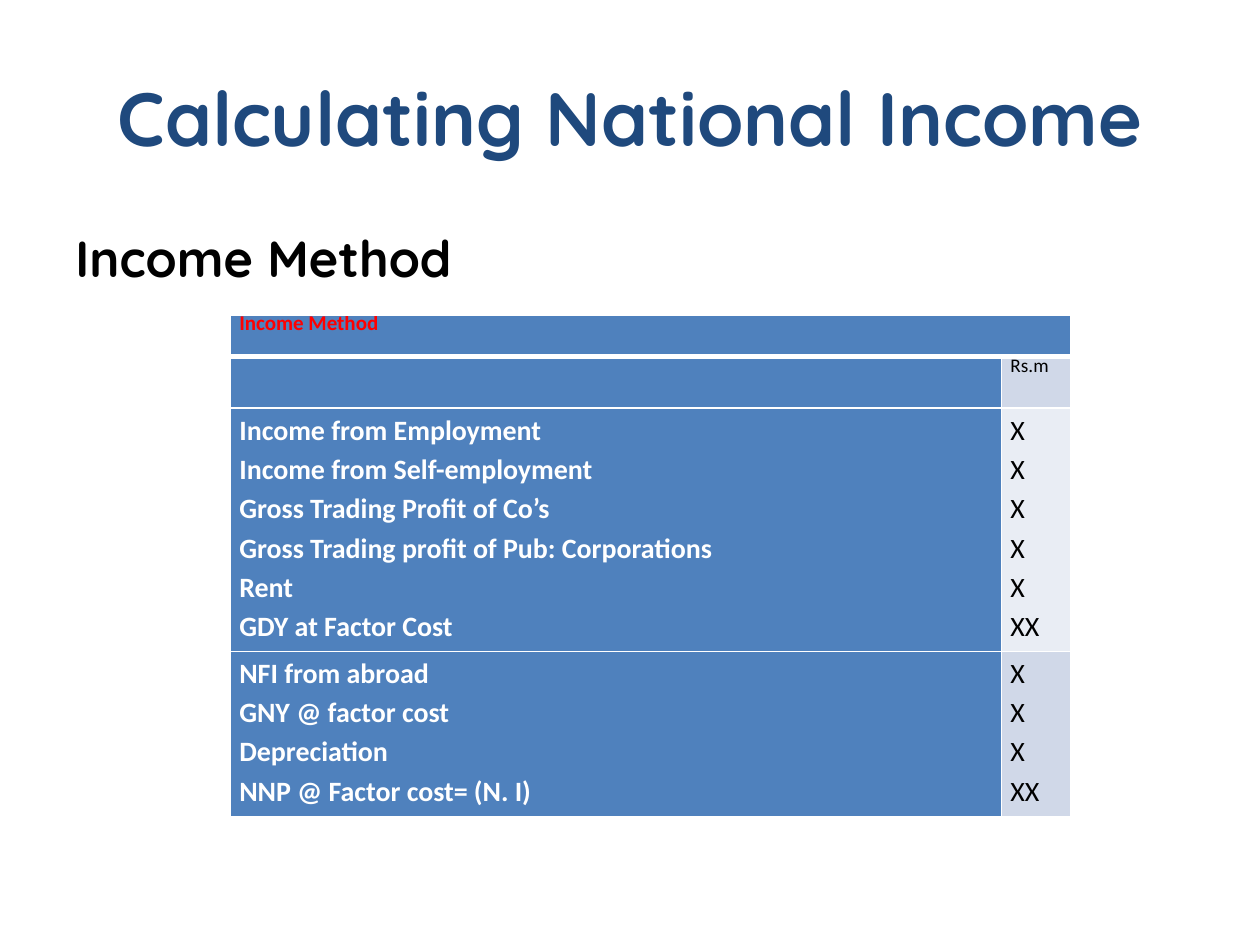
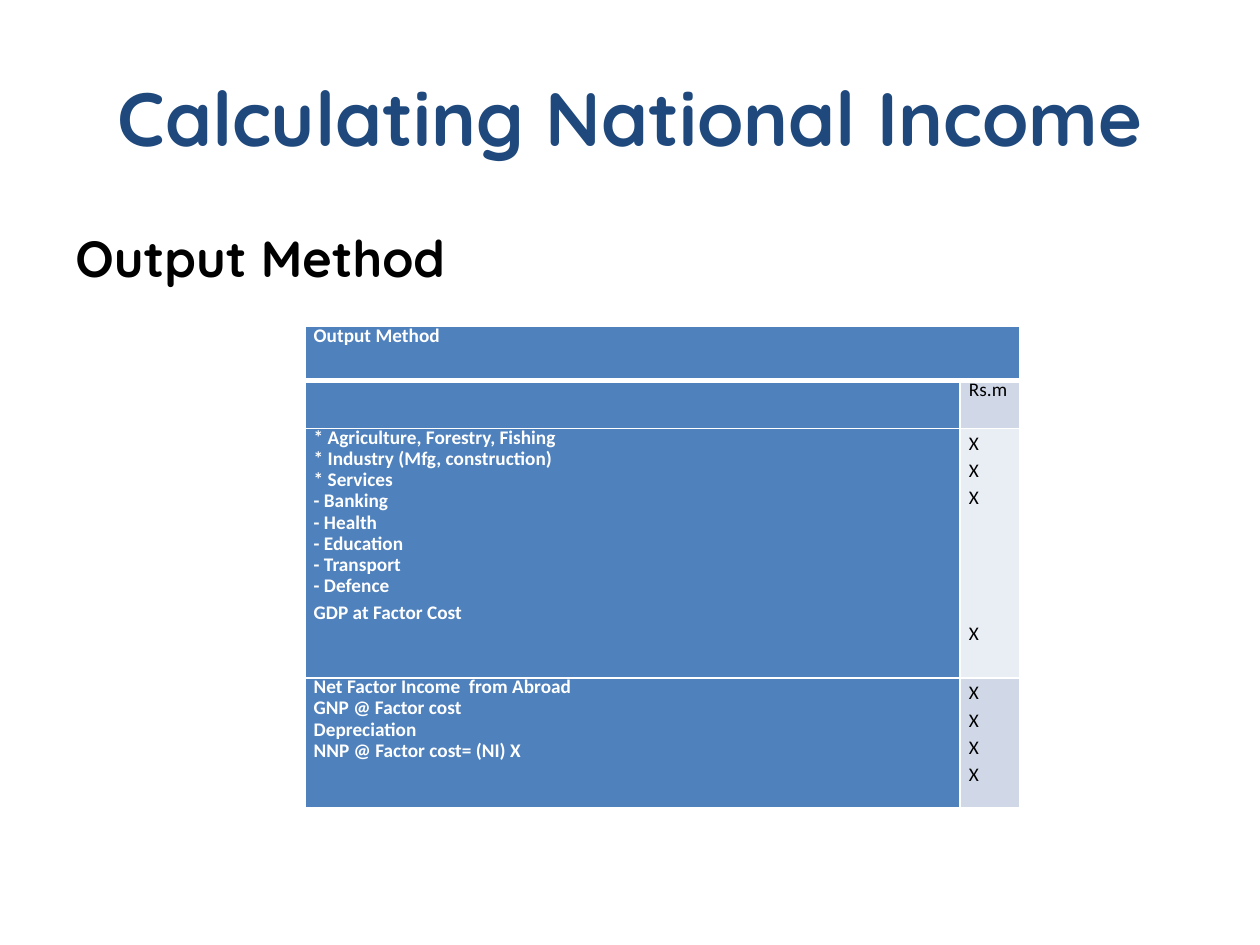
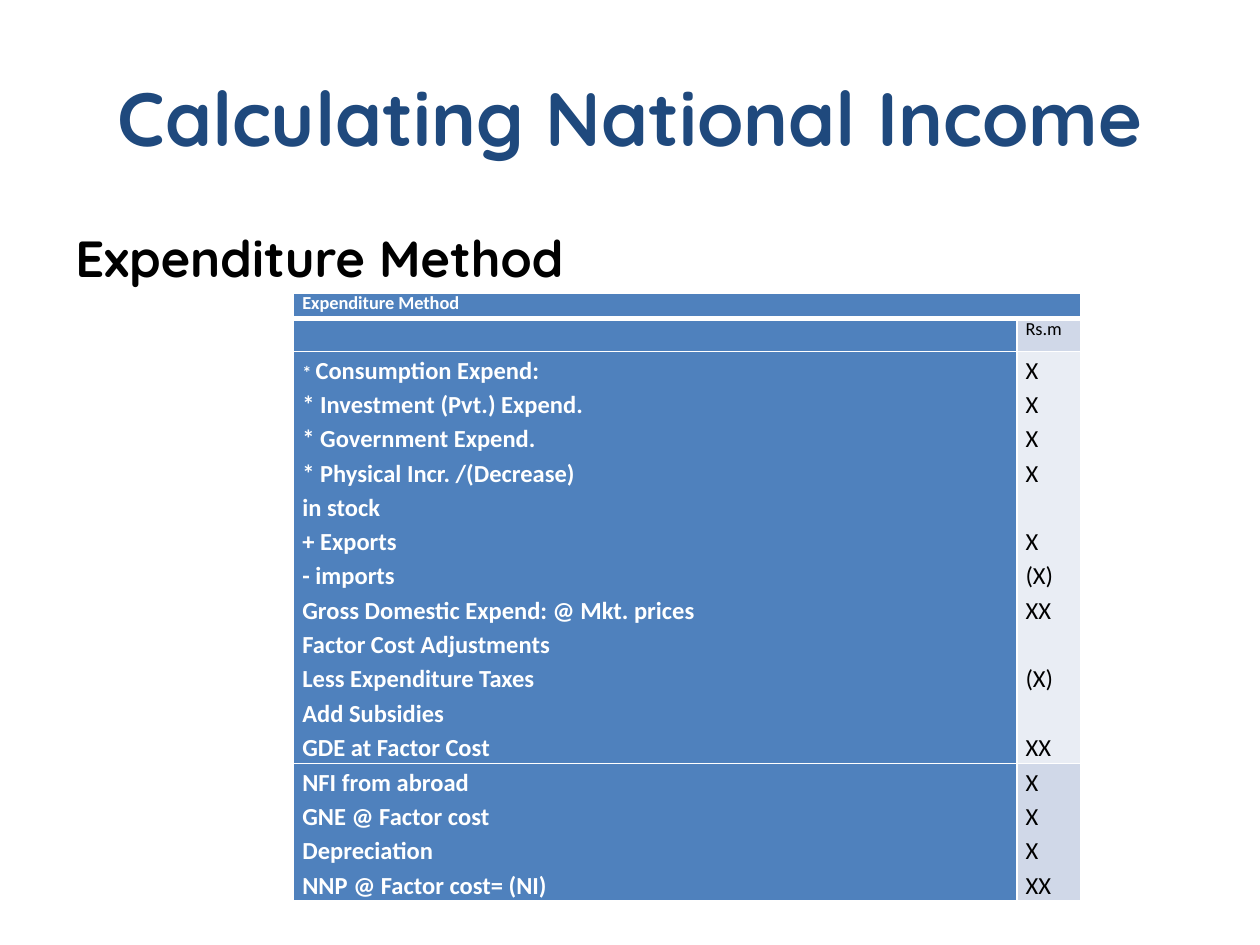
import pptx
import pptx.dml.color
import pptx.enum.text
import pptx.oxml
import pptx.oxml.ns
import pptx.util
from pptx.util import Inches

TITLE_BLUE, BLUE, PALE, PALER = "1F497D", "4F81BD", "D0D8E8", "E9EDF4"
WHITE, BLACK, RED = "FFFFFF", "000000", "FF0000"
TIGHT = pptx.util.Pt(12.1)
LOOSE = 1.15
LINE_HEIGHT = 1.22


def style(font, name, size, color, bold):
    font.name = name
    font.size = pptx.util.Pt(size)
    font.bold = bold
    font.color.rgb = pptx.dml.color.RGBColor.from_string(color)


def fill_cell(cell, lines, size, color, bold, leading, fill, bottom=1):
    cell.margin_left = cell.margin_right = Inches(0.07)
    cell.margin_top = cell.margin_bottom = 0
    for side, width in (("L", 1), ("R", 1), ("T", 1), ("B", bottom)):
        cell._tc.get_or_add_tcPr().append(pptx.oxml.parse_xml(
            f'<a:ln{side} {pptx.oxml.ns.nsdecls("a")} w="{width * 12700}">'
            f'<a:solidFill><a:srgbClr val="{WHITE}"/></a:solidFill></a:ln{side}>'))
    cell.fill.solid()
    cell.fill.fore_color.rgb = pptx.dml.color.RGBColor.from_string(fill)
    tf = cell.text_frame
    p = tf.paragraphs[0]
    style(p.font, "Calibri", size, color, bold)
    skipped = 0
    for i, line in enumerate(lines):
        if not line:
            skipped += 1
            continue
        if i:
            p = tf.add_paragraph()
        p.text = line
        p.line_spacing = leading
        if skipped:
            p.space_before = pptx.util.Pt(round(skipped * size * LINE_HEIGHT * LOOSE, 1))
        skipped = 0
        style(p.runs[0].font, "Calibri", size, color, bold)


methods = [
    {
        "name": "Income Method", "at": (1.83, 2.5),
        "cols": (6.12, 0.55), "rows": (0.33, 0.41, 1.93, 1.31),
        "head": (12, RED), "unit_size": 11, "size": 16, "leading": LOOSE,
        "body": [
            (["Income from Employment", "Income from Self-employment",
              "Gross Trading Profit of Co’s",
              "Gross Trading profit of Pub: Corporations",
              "Rent", "GDY at Factor Cost"],
             ["X", "X", "X", "X", "X", "XX"]),
            (["NFI from abroad", "GNY @ factor cost", "Depreciation",
              "NNP @ Factor cost= (N. I)"],
             ["X", "X", "X", "XX"]),
        ],
    },
    {
        "name": "Output Method", "at": (2.42, 2.59),
        "cols": (5.2, 0.47), "rows": (0.43, 0.38, 1.98, 1.03),
        "head": (11, WHITE), "unit_size": 11, "size": 11, "leading": TIGHT,
        "body": [
            (["* Agriculture, Forestry, Fishing", "* Industry (Mfg, construction)",
              "* Services", "- Banking", "- Health", "- Education",
              "- Transport", "- Defence", "GDP at Factor Cost"],
             ["X", "X", "X", "", "", "", "", "X"]),
            (["Net Factor Income  from Abroad", "GNP @ Factor cost",
              "Depreciation", "NNP @ Factor cost= (NI) X"],
             ["X", "X", "X", "X"]),
        ],
    },
    {
        "name": "Expenditure Method", "at": (2.33, 2.33),
        "cols": (5.74, 0.51), "rows": (0.2, 0.26, 3.27, 1.09),
        "head": (10.5, WHITE), "unit_size": 10.5, "size": 14, "leading": LOOSE,
        "body": [
            (["* Consumption Expend:", "* Investment (Pvt.) Expend.",
              "* Government Expend.", "* Physical Incr. /(Decrease)",
              "in stock", "+ Exports", "- imports",
              "Gross Domestic Expend: @ Mkt. prices",
              "Factor Cost Adjustments", "Less Expenditure Taxes",
              "Add Subsidies", "GDE at Factor Cost"],
             ["X", "X", "X", "X", "", "X", "(X)", "XX", "", "(X)", "", "XX"]),
            (["NFI from abroad", "GNE @ Factor cost", "Depreciation",
              "NNP @ Factor cost= (NI)"],
             ["X", "X", "X", "XX"]),
        ],
    },
]

prs = pptx.Presentation()
prs.slide_width, prs.slide_height = Inches(10), Inches(7.5)
tables = []

for m in methods:
    s = prs.slides.add_slide(prs.slide_layouts[6])
    for text, top, height, size, color, align, anchor in (
        ("Calculating National Income", 0.3, 1.25, 43.2, TITLE_BLUE,
         pptx.enum.text.PP_ALIGN.CENTER, pptx.enum.text.MSO_ANCHOR.MIDDLE),
        (m["name"], 1.75, 0.6, 29, BLACK,
         pptx.enum.text.PP_ALIGN.LEFT, pptx.enum.text.MSO_ANCHOR.TOP),
    ):
        tf = s.shapes.add_textbox(Inches(0.5), Inches(top), Inches(9), Inches(height)).text_frame
        tf.word_wrap = True
        tf.vertical_anchor = anchor
        tf.text = text
        p = tf.paragraphs[0]
        p.alignment = align
        style(p.runs[0].font, "Quicksand", size, color, True)

    left, top = m["at"]
    table = s.shapes.add_table(
        4, 2, Inches(left), Inches(top),
        Inches(sum(m["cols"])), Inches(sum(m["rows"]))).table
    table.first_col = True
    for col, width in zip(table.columns, m["cols"]):
        col.width = Inches(width)
    for row, height in zip(table.rows, m["rows"]):
        row.height = Inches(height)

    head_size, head_color = m["head"]
    table.cell(0, 0).merge(table.cell(0, 1))
    fill_cell(table.cell(0, 0), [m["name"]], head_size, head_color, True, TIGHT, BLUE, 3)
    fill_cell(table.cell(0, 1), [], head_size, head_color, True, TIGHT, BLUE, 3)
    fill_cell(table.cell(1, 0), [], m["unit_size"], WHITE, True, TIGHT, BLUE)
    fill_cell(table.cell(1, 1), ["Rs.m"], m["unit_size"], BLACK, False, TIGHT, PALE)
    for i, ((labels, values), shade) in enumerate(zip(m["body"], (PALER, PALE)), 2):
        fill_cell(table.cell(i, 0), labels, m["size"], WHITE, True, m["leading"], BLUE)
        fill_cell(table.cell(i, 1), values, m["size"], BLACK, False, LOOSE, shade)
    tables.append(table)

income, output, expenditure = tables
output.cell(2, 0).text_frame.paragraphs[-1].line_spacing = LOOSE

p = expenditure.cell(2, 0).text_frame.paragraphs[0]
p.runs[0].text = "* "
p.runs[0].font.size = pptx.util.Pt(10.5)
r = p.add_run()
r.text = "Consumption Expend:"
style(r.font, "Calibri", 14, WHITE, True)

prs.save("out.pptx")
